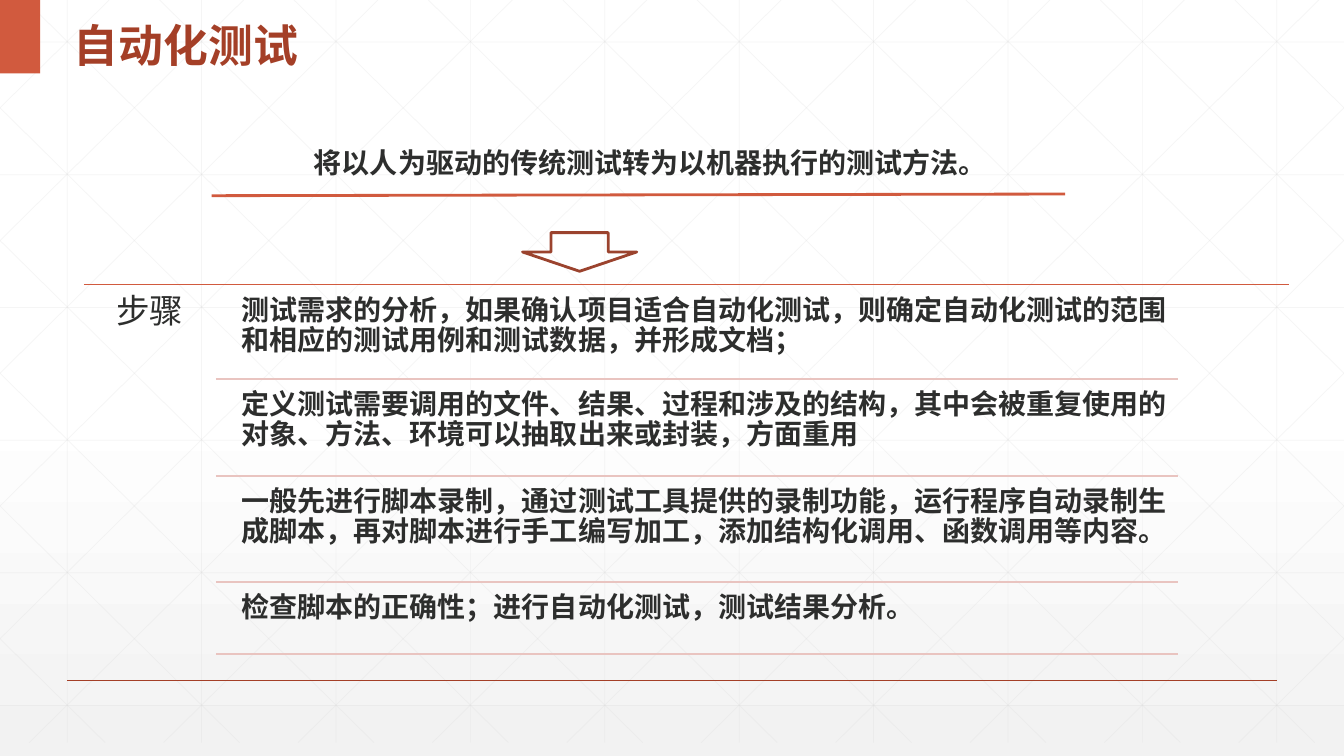
from lxml.etree import SubElement
from pptx import Presentation
from pptx.dml.color import RGBColor
from pptx.enum.shapes import MSO_CONNECTOR as Connector, MSO_SHAPE as Shape
from pptx.enum.text import MSO_ANCHOR as Anchor, PP_ALIGN as Align
from pptx.oxml.ns import qn
from pptx.util import Inches, Pt

COLUMNS, ROWS = 160, 90  # square cells, twelve to the inch
CELL = Inches(1) / 12

WHITE = RGBColor(0xFF, 0xFF, 0xFF)
PALE_GREY = RGBColor(0xF2, 0xF2, 0xF2)
LATTICE_GREY = RGBColor(0xD9, 0xD9, 0xD9)
INK = RGBColor(0x2D, 0x2E, 0x2D)
ORANGE = RGBColor(0xD1, 0x5A, 0x3E)
RUST = RGBColor(0xA4, 0x3F, 0x27)
ARROW_RED = RGBColor(0x9B, 0x43, 0x2E)
PINK = RGBColor(0xE9, 0xC4, 0xC0)

INTRO = "将以人为驱动的传统测试转为以机器执行的测试方法。"
STEPS = [
    ("测试需求的分析，如果确认项目适合自动化测试，则确定自动化测试的范围和相应的测试用例和测试数据，并形成文档；", 45.1),
    ("定义测试需要调用的文件、结果、过程和涉及的结构，其中会被重复使用的对象、方法、环境可以抽取出来或封装，方面重用", 56.65),
    ("一般先进行脚本录制，通过测试工具提供的录制功能，运行程序自动录制生成脚本，再对脚本进行手工编写加工，添加结构化调用、函数调用等内容。", 69.3),
    ("检查脚本的正确性；进行自动化测试，测试结果分析。", 77.85),
]


def cells(*counts):
    return [round(count * CELL) for count in counts]


class SlideBuilder:
    """Draws on one slide; every position and size is in grid cells."""

    latin_font = "Arial"
    chinese_font = "Noto Sans CJK SC"

    def __init__(self, slide):
        self.slide = slide

    def background(self):
        fill = self.slide.background.fill
        fill.gradient()
        fill.gradient_angle = 270
        for stop, color, position in zip(fill.gradient_stops, (WHITE, PALE_GREY), (0.53, 1)):
            stop.color.rgb = color
            stop.position = position

    def line(self, start, end, color, width=1, opacity=100):
        connector = self.slide.shapes.add_connector(
            Connector.STRAIGHT, *cells(*start, *end))
        connector.line.width = Pt(width)
        connector.line.color.rgb = color
        properties = connector._element.spPr
        if opacity < 100:
            tint = next(properties.iter(qn("a:srgbClr")))
            SubElement(tint, qn("a:alpha")).set("val", str(opacity * 1000))
        SubElement(properties, qn("a:effectLst"))

    def shape(self, kind, box, fill=None, outline=None):
        shape = self.slide.shapes.add_shape(kind, *cells(*box))
        shape.shadow.inherit = False
        if fill is None:
            shape.fill.background()
        else:
            shape.fill.solid()
            shape.fill.fore_color.rgb = fill
        if outline is None:
            shape.line.fill.background()
        else:
            shape.line.color.rgb = outline
            shape.line.width = Pt(2)

    def text(self, words, box, size=20, color=INK, bold=True, font=chinese_font,
             align=Align.LEFT, anchor=Anchor.TOP, spacing=1.0, insets=(1.2, 0.6)):
        frame = self.slide.shapes.add_textbox(*cells(*box)).text_frame
        frame.word_wrap = True
        frame.vertical_anchor = anchor
        frame.margin_left, frame.margin_top = cells(*insets)
        frame.margin_right, frame.margin_bottom = cells(*insets)
        paragraph = frame.paragraphs[0]
        paragraph.alignment = align
        paragraph.line_spacing = spacing
        run = paragraph.add_run()
        run.text = words
        run.font.size = Pt(size)
        run.font.bold = bold
        run.font.color.rgb = color
        run.font.name = font
        SubElement(run._r.get_or_add_rPr(), qn("a:ea")).set("typeface", self.chinese_font)

    def lattice(self):
        """Faint squares crossed by diagonals that stop at the slide's edges."""
        step, row_step, bottom = 16, 15.8, 88.4
        slope = row_step / step
        segments = [((8 + step * i, 0), (8 + step * i, bottom)) for i in range(10)]
        segments += [((0, 5 + row_step * i), (COLUMNS, 5 + row_step * i)) for i in range(6)]
        for i in range(-5, 10):
            origin = 3 + step * i
            left, right = max(origin, 0), min(origin + bottom / slope, COLUMNS)
            top, low = (left - origin) * slope, (right - origin) * slope
            segments.append(((left, top), (right, low)))
            segments.append(((COLUMNS - left, top), (COLUMNS - right, low)))
        for start, end in segments:
            self.line(start, end, LATTICE_GREY, 0.5, 25)

    def steps(self, top):
        self.line((10, top), (153.4, top), ORANGE)
        self.text("步骤", (10, top, 15.7, 44.4), 24, bold=False, font=self.latin_font,
                  align=Align.CENTER, spacing=0.9, insets=(1.2, 1.2))
        for words, bottom in STEPS:
            self.text(words, (27.8, top + 0.4, 112.6, bottom - top - 0.4),
                      spacing=0.9, insets=(0.96, 0.96))
            self.line((25.7, bottom), (140.3, bottom), PINK)
            top = bottom


def main():
    presentation = Presentation()
    presentation.slide_width, presentation.slide_height = cells(COLUMNS, ROWS)
    builder = SlideBuilder(presentation.slides.add_slide(presentation.slide_layouts[6]))
    builder.background()
    builder.lattice()
    builder.line((8, 81), (152, 81), RUST)
    builder.shape(Shape.RECTANGLE, (0, 0, 4.8, 8.75), fill=ORANGE)
    builder.text("自动化测试", (7.6, 0, 68.3, 8.75), 32, RUST, font=builder.latin_font,
                 anchor=Anchor.MIDDLE, spacing=1.3)
    builder.steps(top=33.9)
    builder.text(INTRO, (20.2, 16.7, 114.5, 5.3), align=Align.CENTER)
    builder.line((25.2, 23.3), (126.8, 23.1), ORANGE, 2)
    builder.shape(Shape.DOWN_ARROW, (62.2, 27.7, 13.6, 4.6), outline=ARROW_RED)
    presentation.save("out.pptx")


if __name__ == "__main__":
    main()
